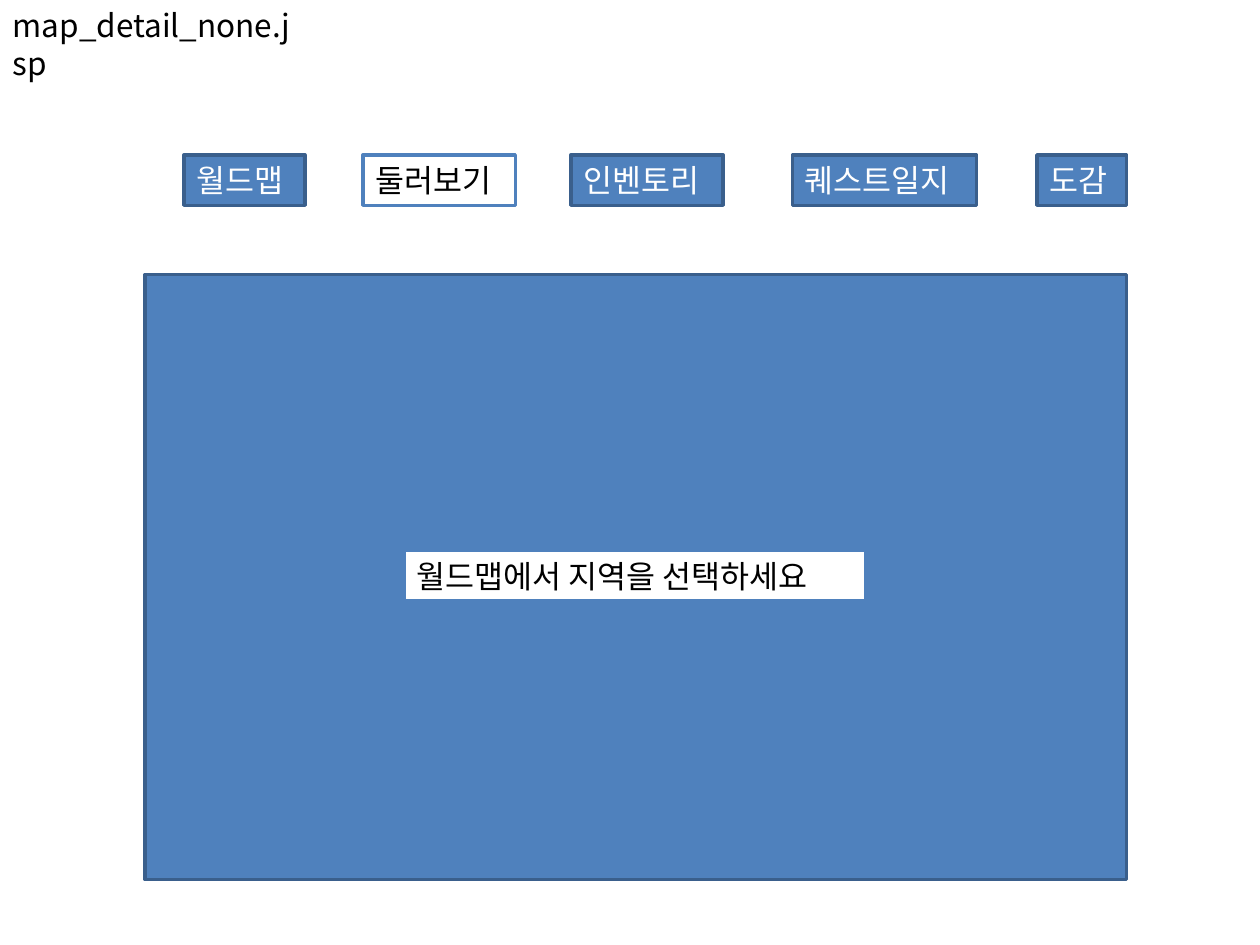
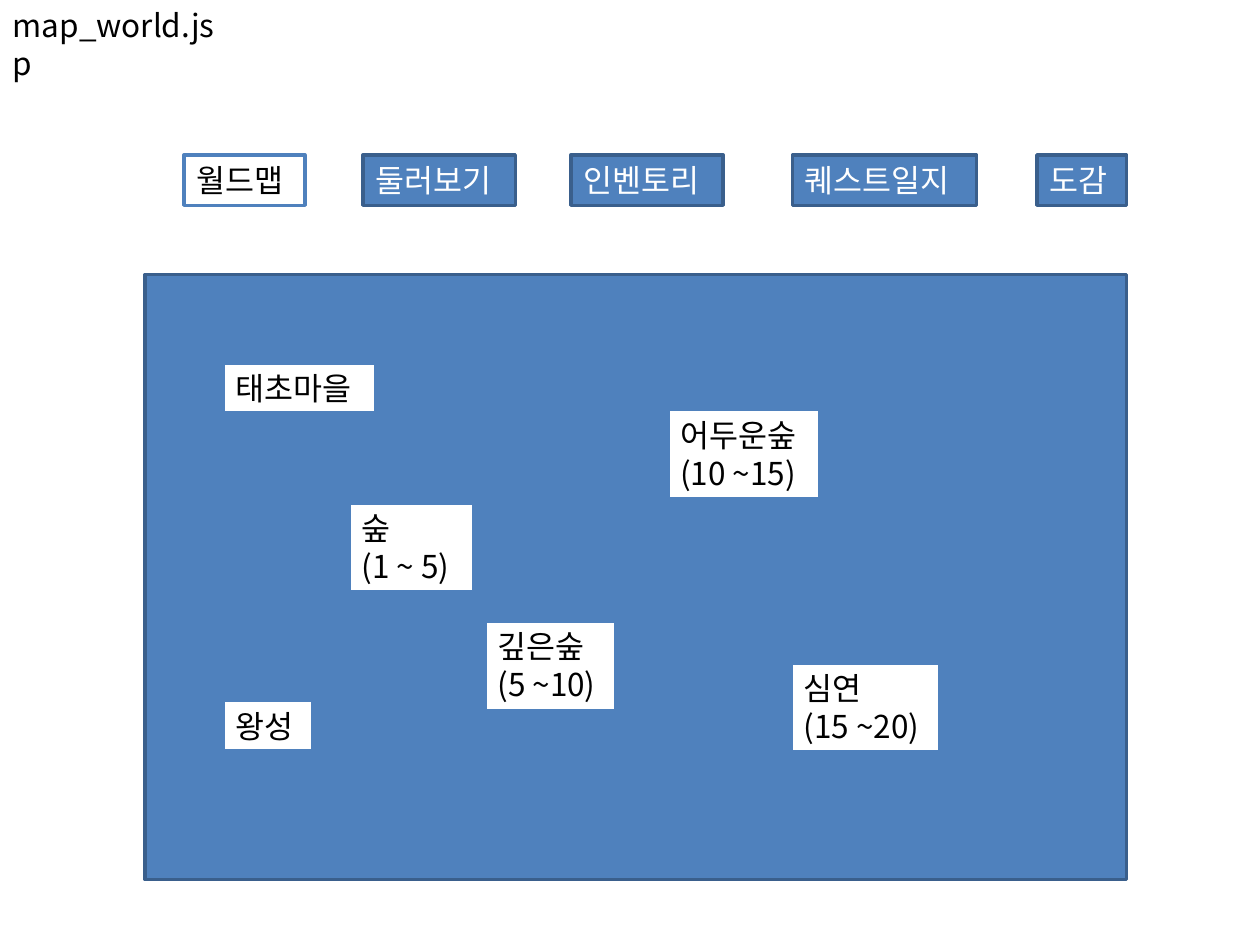
from dataclasses import dataclass

from pptx import Presentation
from pptx.dml.color import RGBColor
from pptx.enum.shapes import MSO_SHAPE
from pptx.enum.text import MSO_ANCHOR, MSO_AUTO_SIZE, PP_ALIGN
from pptx.oxml.ns import qn
from pptx.oxml.xmlchemy import OxmlElement
from pptx.util import Inches, Pt


@dataclass(frozen=True)
class Theme:
    font: str = "Noto Sans CJK KR"
    size: int = 18
    blue: str = "4F81BD"
    navy: str = "3A5F8C"
    white: str = "FFFFFF"
    black: str = "000000"
    stroke: int = 2
    low: float = 0.4
    tall: float = 0.71


@dataclass(frozen=True)
class Box:
    left: float
    top: float
    width: float
    text: str = ""
    height: float = 0.0
    light: bool = True


@dataclass(frozen=True)
class Tab:
    text: str
    left: float
    width: float


@dataclass(frozen=True)
class Page:
    title: str
    width: float
    active: str
    labels: tuple[Box, ...]


THEME = Theme()
TAB_TOP = 1.23
PANEL = Box(1.15, 2.18, 7.79, height=4.8, light=False)
TABS = (
    Tab("월드맵", 1.46, 0.96),
    Tab("둘러보기", 2.88, 1.21),
    Tab("인벤토리", 4.53, 1.21),
    Tab("퀘스트일지", 6.29, 1.46),
    Tab("도감", 8.23, 0.71),
)
PAGES = (
    Page("map_detail_none.jsp", 2.5, "둘러보기", (
        Box(3.21, 4.37, 3.66, "월드맵에서 지역을 선택하세요"),
    )),
    Page("map_world.jsp", 1.83, "월드맵", (
        Box(1.77, 2.88, 1.21, "태초마을"),
        Box(2.77, 3.99, 0.99, "숲\n(1 ~ 5)"),
        Box(1.77, 5.56, 0.71, "왕성"),
        Box(3.85, 4.93, 1.04, "깊은숲\n(5 ~10)"),
        Box(5.3, 3.25, 1.21, "어두운숲\n(10 ~15)"),
        Box(6.28, 5.26, 1.18, "심연\n(15 ~20)"),
    )),
)


def write(shape, text: str, *, color: str, size: int = THEME.size,
          align=PP_ALIGN.LEFT, anchor=MSO_ANCHOR.TOP) -> None:
    frame = shape.text_frame
    frame.text = text
    frame.word_wrap = True
    frame.auto_size = MSO_AUTO_SIZE.NONE
    frame.vertical_anchor = anchor
    for para in frame.paragraphs:
        para.alignment = align
        for run in para.runs:
            run.font.name = THEME.font
            run.font.size = Pt(size)
            run.font.color.rgb = RGBColor.from_string(color)
            east = OxmlElement("a:ea")
            east.set("typeface", THEME.font)
            run.font._element.find(qn("a:latin")).addnext(east)


def draw_box(slide, box: Box) -> None:
    height = box.height or (THEME.tall if "\n" in box.text else THEME.low)
    shape = slide.shapes.add_shape(
        MSO_SHAPE.RECTANGLE, Inches(box.left), Inches(box.top),
        Inches(box.width), Inches(height))
    fill, line, ink = (
        (THEME.white, THEME.blue, THEME.black) if box.light
        else (THEME.blue, THEME.navy, THEME.white))
    shape.shadow.inherit = False
    shape.fill.solid()
    shape.fill.fore_color.rgb = RGBColor.from_string(fill)
    shape.line.color.rgb = RGBColor.from_string(line)
    shape.line.width = Pt(THEME.stroke)
    if box.text:
        write(shape, box.text, color=ink)


def draw_page(deck, page: Page) -> None:
    slide = deck.slides.add_slide(deck.slide_layouts[5])
    title = slide.shapes.title
    title.left, title.top = Inches(0), Inches(0)
    title.width, title.height = Inches(page.width), Inches(THEME.low)
    write(title, page.title, color=THEME.black)
    tabs = (Box(tab.left, TAB_TOP, tab.width, tab.text,
                light=tab.text == page.active) for tab in TABS)
    for box in (PANEL, *page.labels, *tabs):
        draw_box(slide, box)


def main() -> None:
    deck = Presentation()
    deck.slide_width, deck.slide_height = Inches(10), Inches(7.5)
    for page in PAGES:
        draw_page(deck, page)
    deck.save("out.pptx")


if __name__ == "__main__":
    main()
